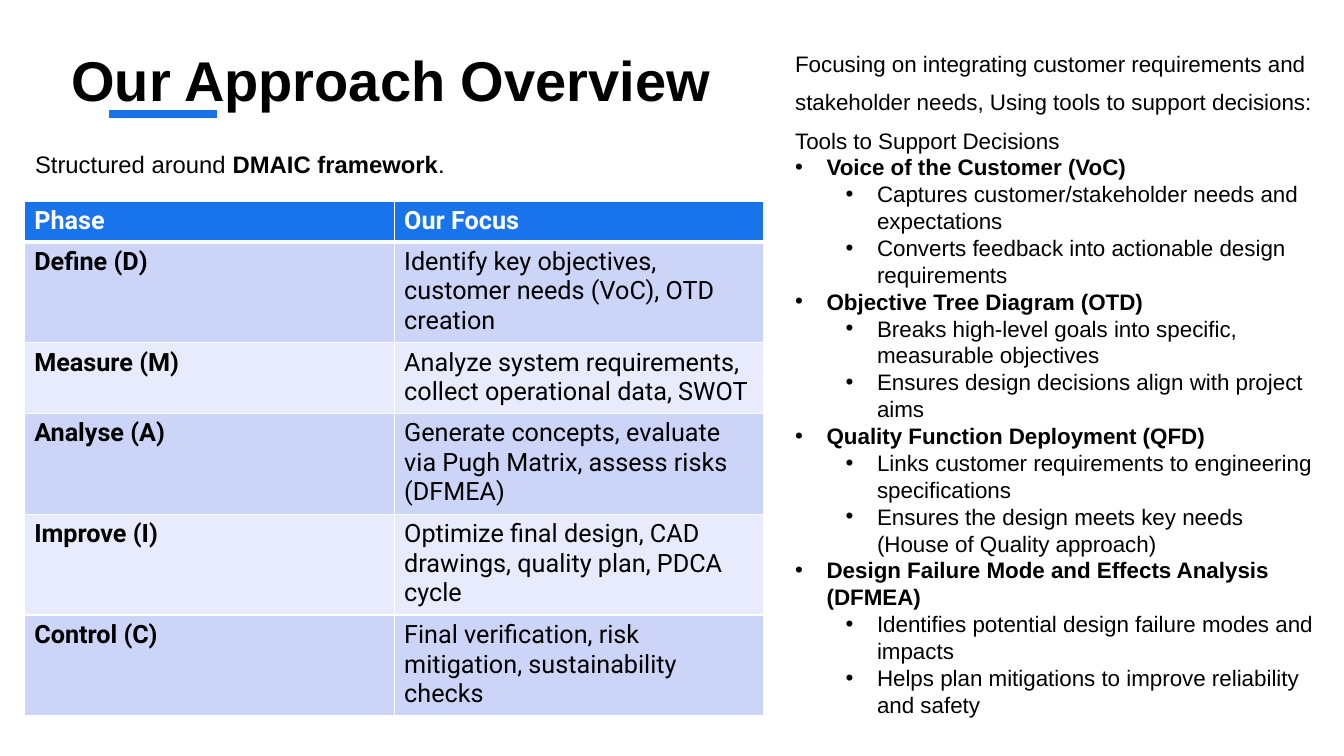
from lxml.etree import SubElement
from pptx import Presentation
from pptx.dml.color import RGBColor
from pptx.enum.shapes import MSO_CONNECTOR
from pptx.enum.text import MSO_ANCHOR
from pptx.oxml import parse_xml
from pptx.oxml.ns import nsdecls, qn
from pptx.util import Pt

BLUE, BLACK, WHITE = "1973EB", "000000", "FFFFFF"
BANDS = "CCD5F7", "E8EBFB"

PHASES = [
    ("Phase", "Our Focus"),
    ("Define (D)", "Identify key objectives, customer needs (VoC), OTD creation"),
    ("Measure (M)", "Analyze system requirements, collect operational data, SWOT"),
    ("Analyse (A)", "Generate concepts, evaluate via Pugh Matrix, assess risks (DFMEA)"),
    ("Improve (I)", "Optimize final design, CAD drawings, quality plan, PDCA cycle"),
    ("Control (C)", "Final verification, risk mitigation, sustainability checks"),
]
ROW_HEIGHTS = [28.8, 72, 50.4, 72, 72, 72]

TOOLS_INTRO = [
    "Focusing on integrating customer requirements and stakeholder needs, "
    "Using tools to support decisions:",
    "Tools to Support Decisions",
]
TOOLS = {
    "Voice of the Customer (VoC)": [
        "Captures customer/stakeholder needs and expectations",
        "Converts feedback into actionable design requirements",
    ],
    "Objective Tree Diagram (OTD)": [
        "Breaks high-level goals into specific, measurable objectives",
        "Ensures design decisions align with project aims",
    ],
    "Quality Function Deployment (QFD)": [
        "Links customer requirements to engineering specifications",
        "Ensures the design meets key needs (House of Quality approach)",
    ],
    "Design Failure Mode and Effects Analysis (DFMEA)": [
        "Identifies potential design failure modes and impacts",
        "Helps plan mitigations to improve reliability and safety",
    ],
}


def color(hex_string):
    return RGBColor.from_string(hex_string)


def write(paragraph, text, size=16, font="Arial", fill=BLACK, bold=False):
    run = paragraph.add_run()
    run.text = text
    run.font.size = Pt(size)
    run.font.name = font
    run.font.bold = bold
    run.font.color.rgb = color(fill)


def add_frame(slide, box, anchor=MSO_ANCHOR.TOP):
    frame = slide.shapes.add_textbox(*map(Pt, box)).text_frame
    frame.word_wrap = True
    frame.vertical_anchor = anchor
    return frame


def set_bullet(paragraph, level):
    """Give a hanging bullet, indented by its level."""
    paragraph.level = level
    properties = paragraph._p.get_or_add_pPr()
    properties.set("marL", str(Pt(22.5 + 36 * level)))
    properties.set("indent", str(Pt(-22.5)))
    bullet_color = SubElement(properties, qn("a:buClr"))
    SubElement(bullet_color, qn("a:srgbClr"), val=BLACK)
    SubElement(properties, qn("a:buFont"), typeface="Arial")
    SubElement(properties, qn("a:buChar"), char="•")


def set_borders(cell, **widths):
    """Draw white borders; widths are keyed L, R, T and B."""
    properties = cell._tc.get_or_add_tcPr()
    for position, side in enumerate("LRTB"):
        width = Pt(widths.get(side, 0.96))
        properties.insert(position, parse_xml(
            f'<a:ln{side} {nsdecls("a")} w="{width}"><a:solidFill>'
            f'<a:srgbClr val="{WHITE}"/></a:solidFill></a:ln{side}>'))


def add_heading(slide, box):
    left, top, _, _ = box
    underline_y = Pt(top + 56.9)
    underline = slide.shapes.add_connector(
        MSO_CONNECTOR.STRAIGHT, Pt(left + 33.8), underline_y, Pt(left + 110.9), underline_y)
    underline.line.color.rgb = color(BLUE)
    underline.line.width = Pt(6)
    SubElement(underline._element.spPr, qn("a:effectLst"))
    title = add_frame(slide, box)
    title.margin_top = Pt(8)
    write(title.paragraphs[0], "Our Approach Overview", size=40, bold=True)


def add_framework_note(slide, box):
    note = add_frame(slide, box, MSO_ANCHOR.MIDDLE).paragraphs[0]
    note.line_spacing = 1.1
    write(note, "Structured around ", size=17)
    write(note, "DMAIC framework", size=17, bold=True)
    write(note, ".", size=17)


def add_tools(slide, box):
    frame = add_frame(slide, box)
    lines = [(text, None) for text in TOOLS_INTRO]
    for tool, benefits in TOOLS.items():
        lines += [(tool, 0)] + [(benefit, 1) for benefit in benefits]
    for index, (text, level) in enumerate(lines):
        paragraph = frame.add_paragraph() if index else frame.paragraphs[0]
        paragraph.line_spacing = Pt(27.2 if level is None else 19.2)
        if level is not None:
            set_bullet(paragraph, level)
        write(paragraph, text, bold=level == 0)


def add_phase_table(slide, box):
    table = slide.shapes.add_table(len(PHASES), 2, *map(Pt, box)).table
    for column in table.columns:
        column.width = Pt(box[2] / 2)
    for row_index, phase in enumerate(PHASES):
        header = row_index == 0
        table.rows[row_index].height = Pt(ROW_HEIGHTS[row_index])
        for column_index, text in enumerate(phase):
            cell = table.cell(row_index, column_index)
            cell.fill.solid()
            cell.fill.fore_color.rgb = color(BLUE if header else BANDS[(row_index - 1) % 2])
            set_borders(cell, B=3 if header else 0.96, T=3 if row_index == 1 else 0.96)
            write(cell.text_frame.paragraphs[0], text, size=18, font="Roboto",
                  fill=WHITE if header else BLACK, bold=header or column_index == 0)


def main():
    deck = Presentation()
    deck.slide_width, deck.slide_height = Pt(960), Pt(540)
    slide = deck.slides.add_slide(deck.slide_layouts[6])
    add_heading(slide, (43.9, 24.5, 495.4, 90))
    add_framework_note(slide, (18, 100.8, 357.1, 30.2))
    add_tools(slide, (560.9, 24.5, 388.8, 501.1))
    add_phase_table(slide, (17.3, 144, 528.5, sum(ROW_HEIGHTS)))
    deck.save("out.pptx")


if __name__ == "__main__":
    main()
